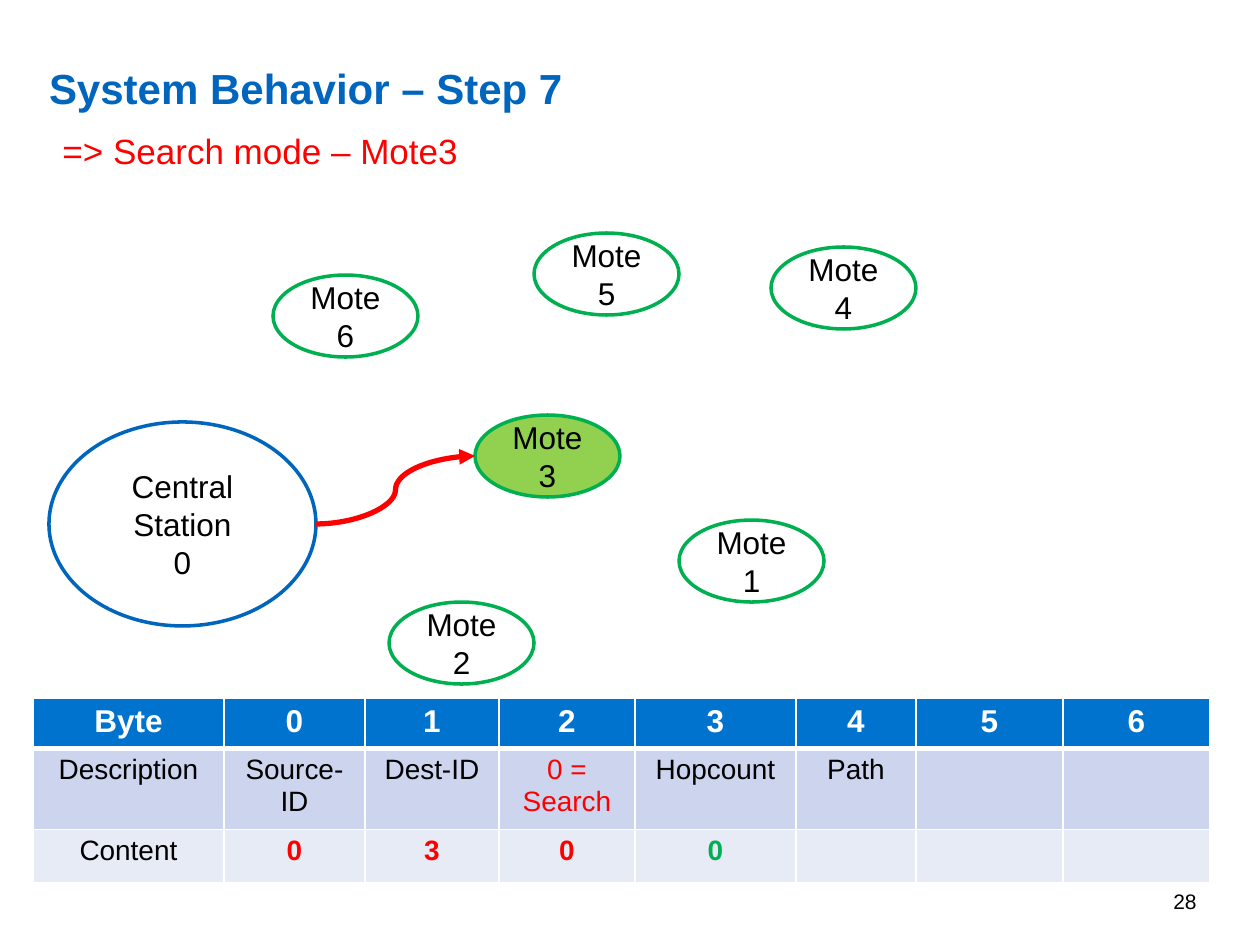
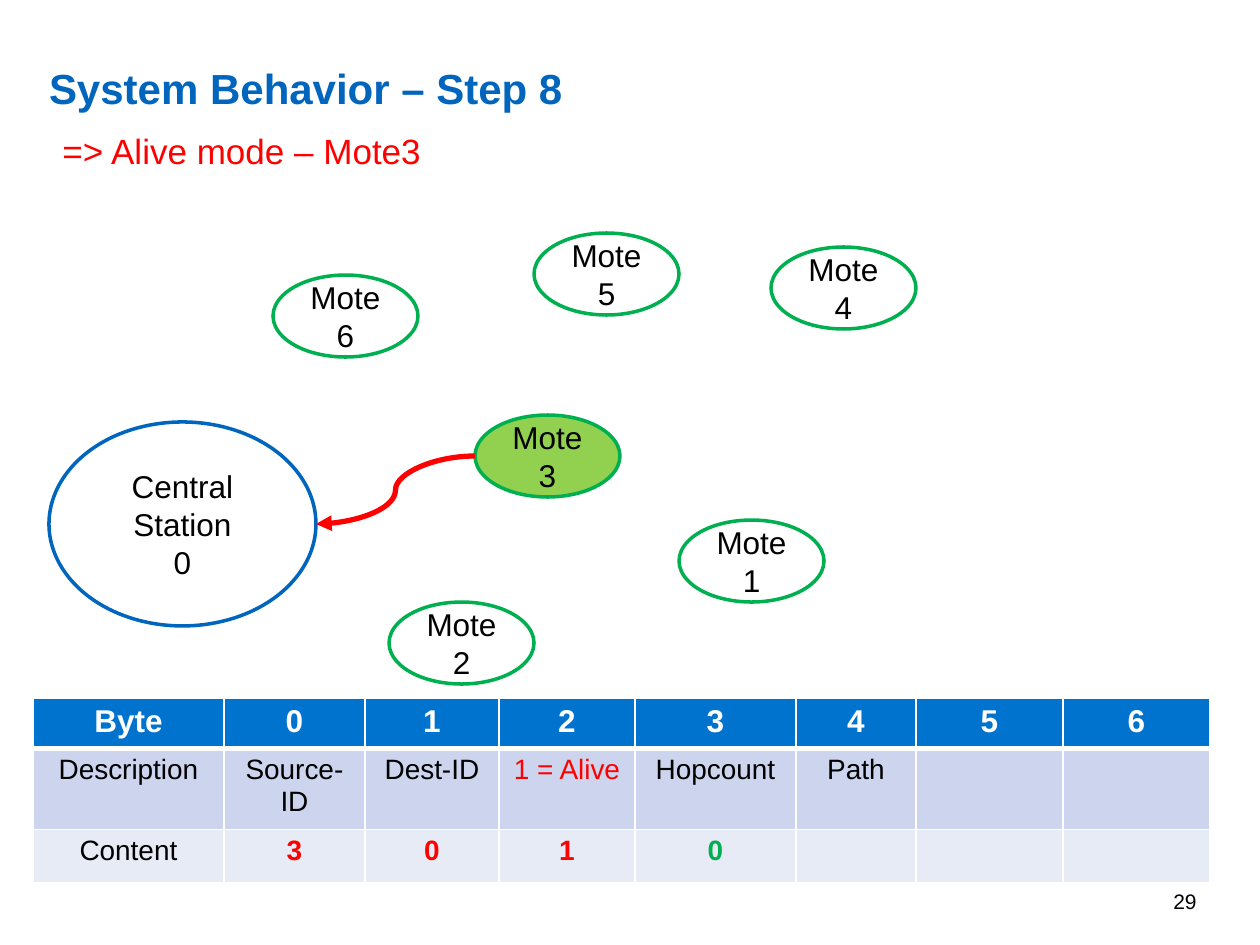
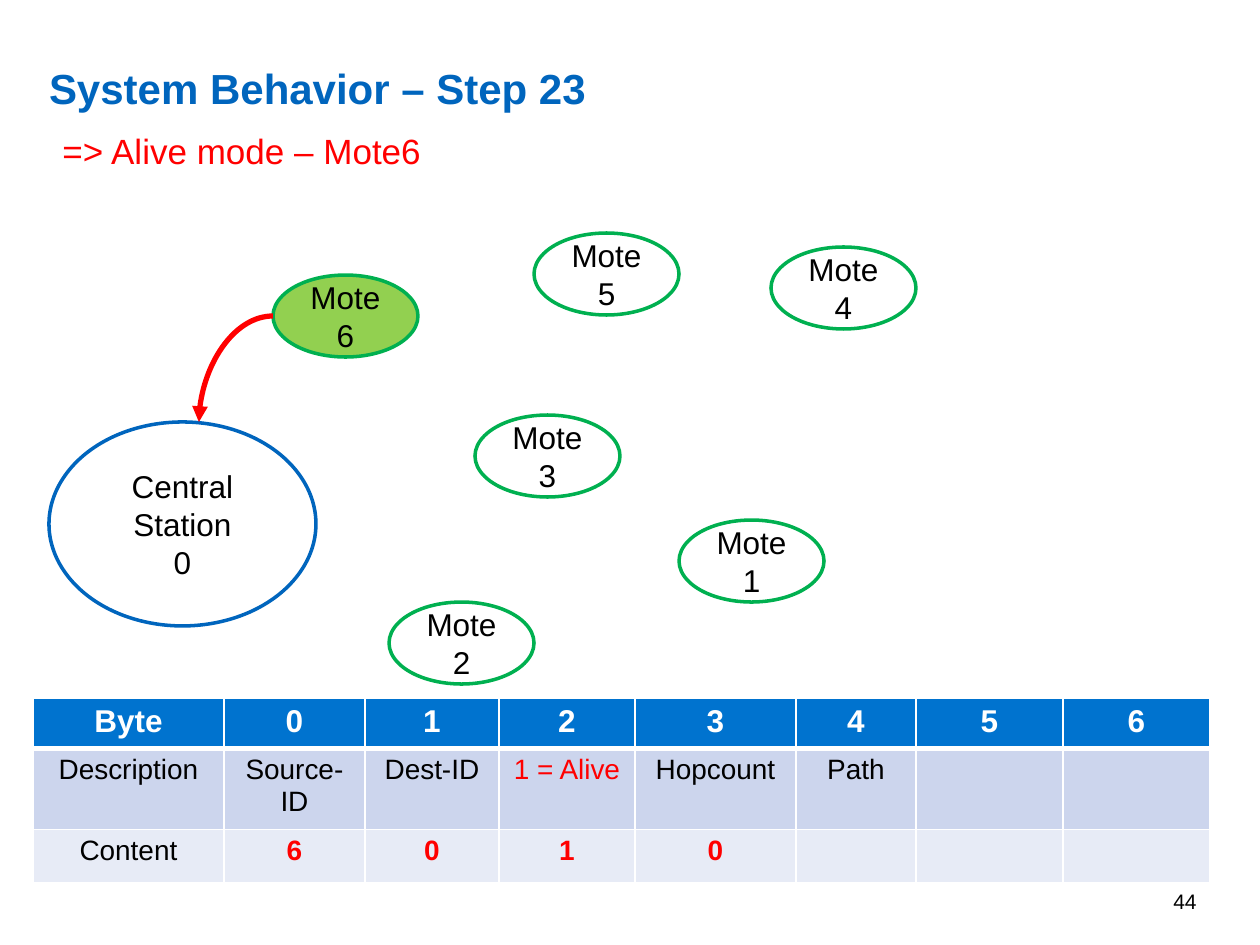
from lxml import etree
from pptx import Presentation
from pptx.dml.color import RGBColor
from pptx.enum.shapes import MSO_CONNECTOR, MSO_SHAPE
from pptx.enum.text import MSO_ANCHOR, MSO_AUTO_SIZE, PP_ALIGN
from pptx.oxml.ns import qn
from pptx.util import Emu, Pt

CURVE, ELLIPSE = MSO_CONNECTOR.CURVE, MSO_SHAPE.OVAL
TOP, MIDDLE = MSO_ANCHOR.TOP, MSO_ANCHOR.MIDDLE
LEFT, CENTER, RIGHT = PP_ALIGN.LEFT, PP_ALIGN.CENTER, PP_ALIGN.RIGHT

PIXEL = 914400 / 126
FONT = "Arial"
COLORS = {
    "title": "0065BD", "red": "FF0000", "green": "00B050", "active": "92D050",
    "black": "000000", "white": "FFFFFF",
    "header": "0073CF", "description": "CCD5ED", "content": "E7EBF6",
}

# Content of each step; the route names the sender and the receiver
STEPS = [
    {"title": "System Behavior – Step 7", "mode": "=> Search mode – Mote3",
     "mode_width": 423, "number": "28", "active": 3, "route": "from station",
     "command": "0 = Search", "content": ["0", "3", "0", "0"], "hop_color": "green"},
    {"title": "System Behavior – Step 8", "mode": "=> Alive mode – Mote3",
     "mode_width": 387, "number": "29", "active": 3, "route": "to station side",
     "command": "1 = Alive", "content": ["3", "0", "1", "0"], "hop_color": "green"},
    {"title": "System Behavior – Step 23", "mode": "=> Alive mode – Mote6",
     "mode_width": 387, "number": "44", "active": 6, "route": "to station top",
     "command": "1 = Alive", "content": ["6", "0", "1", "0"], "hop_color": "red"},
]
HEADER = ["Byte", "0", "1", "2", "3", "4", "5", "6"]

# Layout in pixels
TITLE_BOX = (49, 50, 988, 49)
NUMBER_BOX = (916, 876, 293, 50)
MODE_ORIGIN, MODE_HEIGHT = (50, 123), 55
STATION = (49, 422, 267, 204)
STATION_TOP_ENTRY = (199, 422)
MOTE_SIZE = (145, 82)
MOTES = {6: (273, 275), 5: (534, 233), 2: (389, 602),
         4: (771, 247), 3: (475, 415), 1: (679, 520)}
TABLE_ORIGIN = (33, 698)
COLUMNS = [191, 141, 134, 136, 161, 120, 147, 147]
ROWS = [48, 81, 53]


def px(*values):
    return [Emu(round(value * PIXEL)) for value in values]


def rgb(name):
    return RGBColor.from_string(COLORS[name])


def write(frame, text, size, color="black", align=CENTER, bold=False):
    frame.text = text
    for paragraph in frame.paragraphs:
        paragraph.alignment = align
        paragraph.font.name = FONT
        paragraph.font.size = Pt(size)
        paragraph.font.bold = bold
        paragraph.font.color.rgb = rgb(color)


def add_title(slide, text):
    title = slide.shapes.title
    title.left, title.top, title.width, title.height = px(*TITLE_BOX)
    frame = title.text_frame
    frame.margin_left = frame.margin_right = frame.margin_top = frame.margin_bottom = 0
    frame.vertical_anchor = TOP
    frame.auto_size = MSO_AUTO_SIZE.NONE
    write(frame, text, 24, "title", LEFT, True)
    frame.paragraphs[0].line_spacing = 1.25


def add_labels(slide, step):
    number = slide.shapes.add_textbox(*px(*NUMBER_BOX)).text_frame
    number.word_wrap = True
    number.vertical_anchor = MIDDLE
    write(number, step["number"], 12, align=RIGHT)
    mode = slide.shapes.add_textbox(
        *px(*MODE_ORIGIN, step["mode_width"], MODE_HEIGHT)).text_frame
    mode.word_wrap = False
    mode.auto_size = MSO_AUTO_SIZE.SHAPE_TO_FIT_TEXT
    write(mode, step["mode"], 20, "red", LEFT)


def add_node(slide, box, text, line, fill):
    node = slide.shapes.add_shape(ELLIPSE, *px(*box))
    node.shadow.inherit = False
    node.fill.solid()
    node.fill.fore_color.rgb = rgb(fill)
    node.line.color.rgb = rgb(line)
    node.line.width = Pt(2)
    node.text_frame.vertical_anchor = MIDDLE
    write(node.text_frame, text, 18)


def add_network(slide, active):
    add_node(slide, STATION, "Central Station\n0", "title", "white")
    for mote, origin in MOTES.items():
        add_node(slide, (*origin, *MOTE_SIZE), f"Mote {mote}", "green",
                 "active" if mote == active else "white")


def add_route(slide, route, active):
    left, top, width, height = STATION
    station_side = (left + width, top + height / 2)
    mote_left, mote_top = MOTES[active]
    mote_side = (mote_left, mote_top + MOTE_SIZE[1] / 2)
    start, end = {
        "from station": (station_side, mote_side),
        "to station side": (mote_side, station_side),
        "to station top": (mote_side, STATION_TOP_ENTRY),
    }[route]
    connector = slide.shapes.add_connector(CURVE, *px(*start, *end))
    connector.line.color.rgb = rgb("red")
    connector.line.width = Pt(3)
    properties = connector.element.spPr
    if route == "to station top":
        properties.find(qn("a:prstGeom")).set("prst", "curvedConnector2")
    etree.SubElement(properties.find(qn("a:ln")), qn("a:tailEnd"), type="triangle")
    etree.SubElement(properties, qn("a:effectLst"))


def add_borders(cell, row):
    # The rule below the header is thicker than the others
    widths = {"L": 1, "R": 1, "T": 3 if row == 1 else 1, "B": 3 if row == 0 else 1}
    properties = cell._tc.get_or_add_tcPr()
    for side, width in widths.items():
        line = etree.SubElement(properties, qn(f"a:ln{side}"), w=str(Pt(width)))
        fill = etree.SubElement(line, qn("a:solidFill"))
        etree.SubElement(fill, qn("a:srgbClr"), val=COLORS["white"])


def add_message_table(slide, step):
    description = ["Description", "Source-ID", "Dest-ID", step["command"],
                   "Hopcount", "Path", "", ""]
    content = ["Content", *step["content"], "", "", ""]
    # Each row: texts, fill, size, text colours, bold flags
    count = len(HEADER)
    rows = [
        (HEADER, "header", 18, ["white"] * count, [True] * count),
        (description, "description", 16,
         ["red" if column == 3 else "black" for column in range(count)], [False] * count),
        (content, "content", 16,
         ["black", "red", "red", "red", step["hop_color"], "black", "black", "black"],
         [column > 0 for column in range(count)]),
    ]
    table = slide.shapes.add_table(
        len(ROWS), count, *px(*TABLE_ORIGIN, sum(COLUMNS), sum(ROWS))).table
    for column, width in zip(table.columns, px(*COLUMNS)):
        column.width = width
    for row, height in zip(table.rows, px(*ROWS)):
        row.height = height
    for row, (texts, fill, size, colors, bolds) in enumerate(rows):
        for column, (text, color, bold) in enumerate(zip(texts, colors, bolds)):
            cell = table.cell(row, column)
            add_borders(cell, row)
            cell.fill.solid()
            cell.fill.fore_color.rgb = rgb(fill)
            write(cell.text_frame, text, size, color, bold=bold)


presentation = Presentation()
presentation.slide_width, presentation.slide_height = px(1260, 945)
title_only = presentation.slide_layouts[5]

for step in STEPS:
    slide = presentation.slides.add_slide(title_only)
    add_title(slide, step["title"])
    add_labels(slide, step)
    add_network(slide, step["active"])
    add_message_table(slide, step)
    add_route(slide, step["route"], step["active"])

presentation.save("out.pptx")
